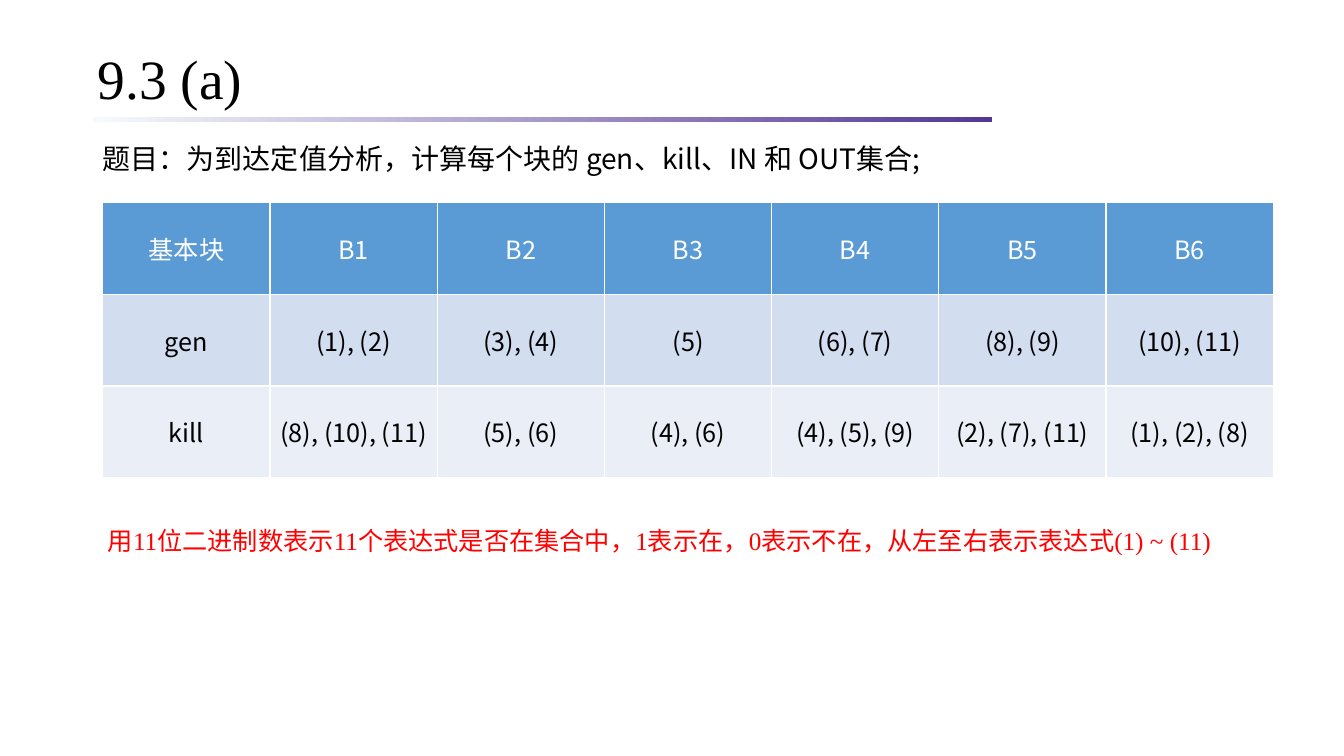
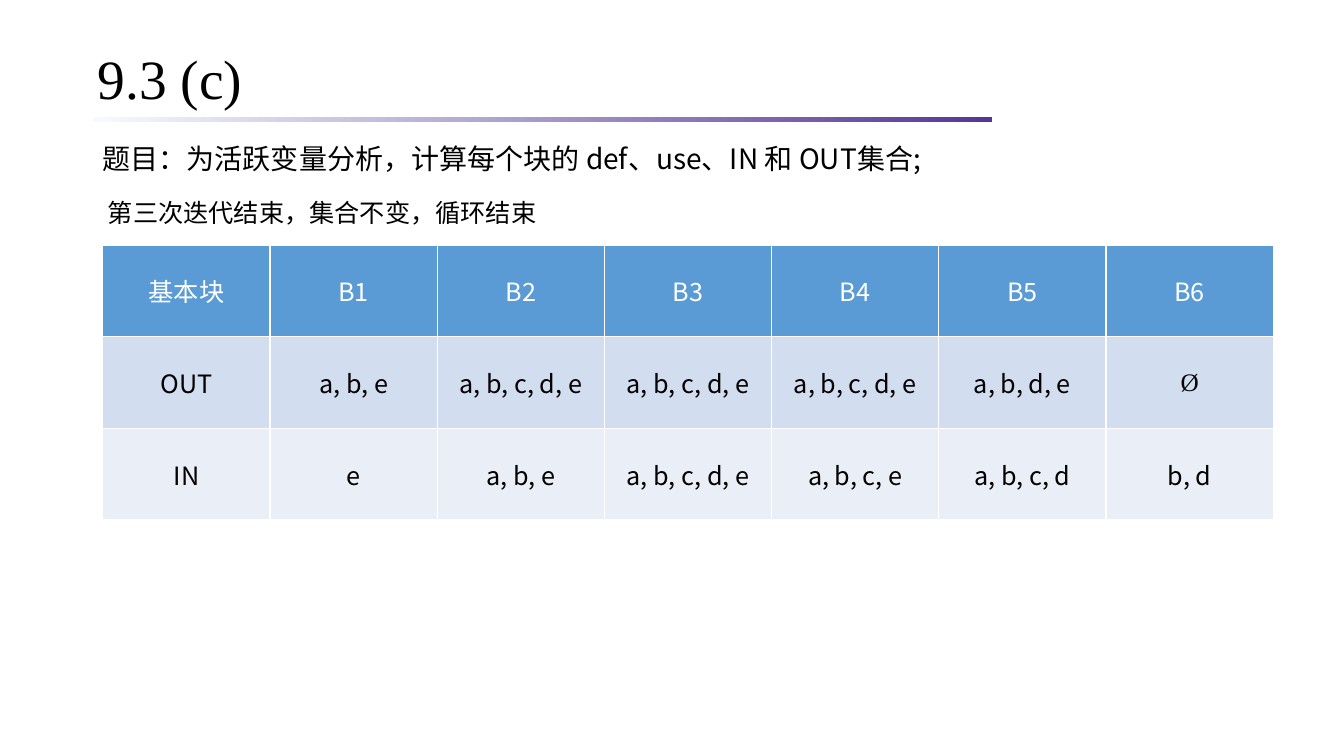
from dataclasses import dataclass

from lxml import etree
from pptx import Presentation
from pptx.dml.color import RGBColor
from pptx.enum import shapes, text
from pptx.oxml import ns
from pptx.util import Inches, Pt


@dataclass(frozen=True)
class Theme:
    sans: str = "Noto Sans CJK SC"
    serif: str = "Times New Roman"
    title_size: float = 39.6
    question_size: float = 20
    body_size: float = 18
    ink: str = "000000"
    white: str = "FFFFFF"
    alert: str = "FF0000"
    rule_start: str = "F7FAFD"
    rule_end: str = "543795"
    header: str = "5B9BD5"
    bands: tuple = ("D2DEEF", "EAEFF7")


THEME = Theme()

TITLE_BOX = (0.92, 0.43, 11.5, 0.75)
RULE_BOX = (0.92, 1.16, 8.92, 0.05)
QUESTION_BOX = (0.92, 1.19, 11.28, 0.61)
TABLE_LEFT, TABLE_WIDTH, ROW_HEIGHT = 1.02, 11.61, 0.91
NOTE_WIDTH, NOTE_HEIGHT = 11.89, 0.4

HEADINGS = ["基本块", "B1", "B2", "B3", "B4", "B5", "B6"]

PAGES = [
    {
        "title": "9.3 (a)",
        "question": "题目：为到达定值分析，计算每个块的 gen、kill、IN 和 OUT集合;",
        "table_top": 2.01,
        "rows": [
            ["gen", "(1), (2)", "(3), (4)", "(5)", "(6), (7)", "(8), (9)", "(10), (11)"],
            ["kill", "(8), (10), (11)", "(5), (6)", "(4), (6)", "(4), (5), (9)",
             "(2), (7), (11)", "(1), (2), (8)"],
        ],
        "note": "用11位二进制数表示11个表达式是否在集合中，1表示在，0表示不在，"
                "从左至右表示表达式(1) ~ (11)",
        "note_top": 5.16,
        "note_colour": THEME.alert,
    },
    {
        "title": "9.3 (c)",
        "question": "题目：为活跃变量分析，计算每个块的 def、use、IN 和 OUT集合;",
        "table_top": 2.43,
        "rows": [
            ["OUT", "a, b, e", "a, b, c, d, e", "a, b, c, d, e", "a, b, c, d, e",
             "a, b, d, e", "Ø"],
            ["IN", "e", "a, b, e", "a, b, c, d, e", "a, b, c, e", "a, b, c, d", "b, d"],
        ],
        "note": "第三次迭代结束，集合不变，循环结束",
        "note_top": 1.91,
        "note_colour": THEME.ink,
    },
]


def rgb(colour):
    return RGBColor.from_string(colour)


def style_para(para, size, latin, colour):
    """Set the paragraph font, with the sans face for Chinese characters."""
    font = para.font
    font.size = Pt(size)
    font.bold = False
    font.name = latin
    font.color.rgb = rgb(colour)
    defaults = para._p.pPr.find(ns.qn("a:defRPr"))
    etree.SubElement(defaults, ns.qn("a:ea")).set("typeface", THEME.sans)


def add_text(page, box, words, size, latin, colour=THEME.ink, inset=0.05,
             spacing=None, anchor=text.MSO_ANCHOR.TOP):
    frame = page.shapes.add_textbox(*map(Inches, box)).text_frame
    frame.word_wrap = True
    frame.vertical_anchor = anchor
    frame.margin_left = frame.margin_right = Inches(inset)
    para = frame.paragraphs[0]
    para.text = words
    para.line_spacing = spacing
    style_para(para, size, latin, colour)


def add_heading(page, title, question):
    """Place the title, the gradient rule below it and the question."""
    rule = page.shapes.add_shape(shapes.MSO_SHAPE.RECTANGLE, *map(Inches, RULE_BOX))
    rule.shadow.inherit = False
    rule.line.fill.background()
    rule.fill.gradient()
    rule.fill.gradient_angle = 0
    for stop, colour in zip(rule.fill.gradient_stops, (THEME.rule_start, THEME.rule_end)):
        stop.color.rgb = rgb(colour)
    add_text(page, TITLE_BOX, title, THEME.title_size, THEME.serif,
             spacing=0.9, anchor=text.MSO_ANCHOR.MIDDLE)
    add_text(page, QUESTION_BOX, question, THEME.question_size, THEME.sans,
             inset=0.1, spacing=1.5)


def add_block_table(page, top, rows):
    grid = [HEADINGS, *rows]
    box = (TABLE_LEFT, top, TABLE_WIDTH, ROW_HEIGHT * len(grid))
    table = page.shapes.add_table(len(grid), len(HEADINGS), *map(Inches, box)).table
    fills = (THEME.header, *THEME.bands)
    for row_index, (row, fill) in enumerate(zip(grid, fills)):
        colour = THEME.ink if row_index else THEME.white
        for column_index, words in enumerate(row):
            cell = table.cell(row_index, column_index)
            cell.fill.solid()
            cell.fill.fore_color.rgb = rgb(fill)
            cell.vertical_anchor = text.MSO_ANCHOR.MIDDLE
            para = cell.text_frame.paragraphs[0]
            para.text = words
            para.alignment = text.PP_ALIGN.CENTER
            latin = THEME.serif if words == "Ø" else THEME.sans
            style_para(para, THEME.body_size, latin, colour)


def add_answer_page(deck, content):
    page = deck.slides.add_slide(deck.slide_layouts[6])
    add_heading(page, content["title"], content["question"])
    add_block_table(page, content["table_top"], content["rows"])
    note_box = (TABLE_LEFT, content["note_top"], NOTE_WIDTH, NOTE_HEIGHT)
    add_text(page, note_box, content["note"], THEME.body_size, THEME.serif,
             content["note_colour"])


def main():
    deck = Presentation()
    deck.slide_width, deck.slide_height = Inches(13.33), Inches(7.5)
    for content in PAGES:
        add_answer_page(deck, content)
    deck.save("out.pptx")


if __name__ == "__main__":
    main()
